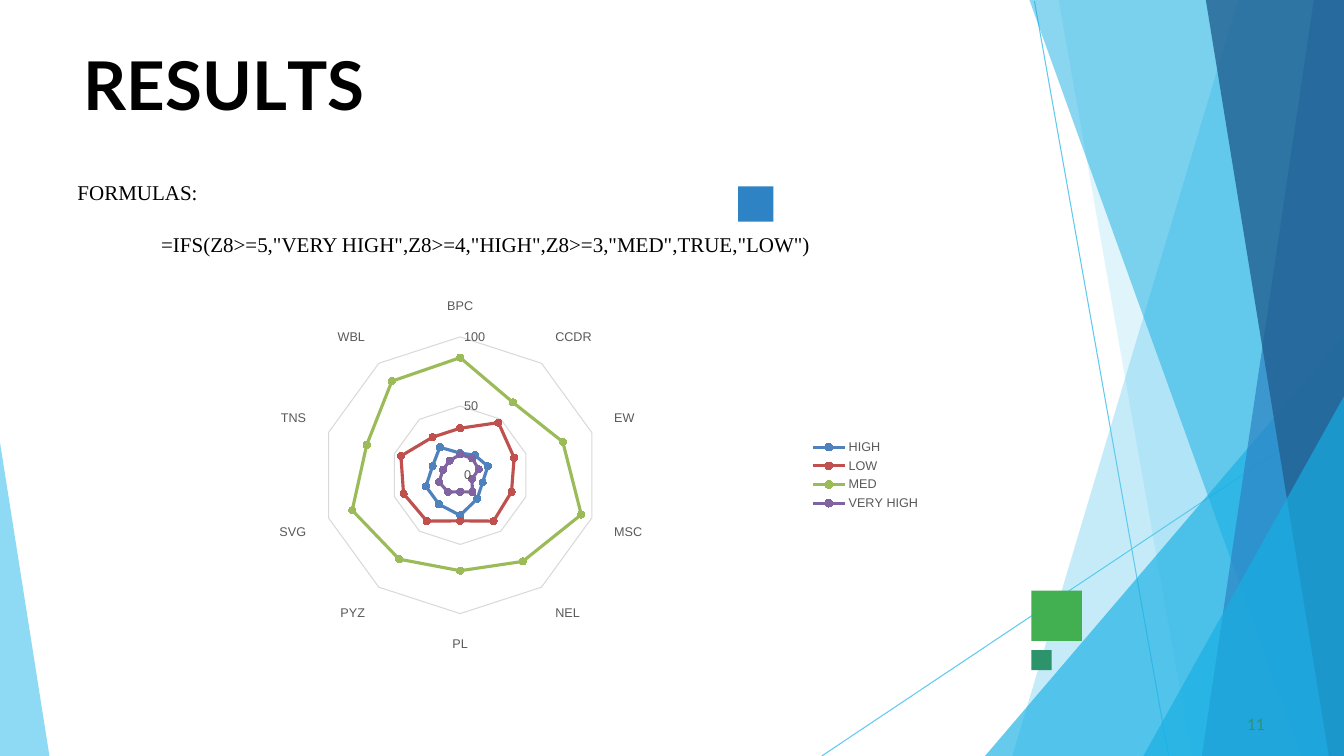
"""Build the RESULTS slide: facet decoration, formula and radar chart."""
import lxml.etree
import pptx
import pptx.chart.data
import pptx.dml.color
import pptx.enum.chart
import pptx.enum.shapes
import pptx.enum.text
import pptx.oxml.ns
import pptx.util
from pptx.util import Inches

W, H = 13.33, 7.5
COLORS = {
    "black": "000000", "sky": "5FCAEE", "cyan": "17AFE3", "blue": "2D83C3",
    "navy": "226192", "green": "42AF51", "teal": "2D936B",
    "label": "595959", "grid": "D9D9D9",
    "HIGH": "4F81BD", "LOW": "C0504D", "MED": "9BBB59", "VERY HIGH": "8064A2",
}
LINES = [(10.26, 0.01, 11.59, H), (W, 4.04, 8.15, H)]
FACETS = [
    ("sky", 36, [(W, 0), (12.28, 0), (10.04, H), (W, H)]),
    ("sky", 20, [(W, 0), (10.5, 0), (11.82, H), (W, H)]),
    ("cyan", 66, [(W, 3.33), (9.77, H), (W, H)]),
    ("cyan", 50, [(W, 0), (10.21, 0), (12.91, H), (W, H)]),
    ("blue", 70, [(W, 0), (13.03, 0), (11.92, H), (W, H)]),
    ("navy", 80, [(W, 0), (11.96, 0), (13.18, H), (W, H)]),
    ("cyan", 66, [(W, 3.93), (11.34, H), (W, H)]),
    ("sky", 70, [(0, 4.39), (0, H), (0.49, H)]),
]
SQUARES = [("green", 10.23, 5.86, 0.5), ("blue", 7.32, 1.85, 0.35), ("teal", 10.23, 6.45, 0.2)]
TITLE = [("R", 0), ("E", -0.4), ("S", 0.1), ("U", -0.3), ("L", -4), ("TS", 0)]
FORMULAS = [
    ("FORMULAS:", 0, 0),
    ('=IFS(Z8>=5,"VERY HIGH",Z8>=4,"HIGH",Z8>=3,"MED",TRUE,"LOW")', 0.83, 19.5),
]
PAGE = "11"
CATEGORIES = ["BPC", "CCDR", "EW", "MSC", "NEL", "PL", "PYZ", "SVG", "TNS", "WBL"]
SERIES = {
    "HIGH": [16, 18, 21, 17, 21, 29, 26, 26, 21, 25],
    "LOW": [34, 47, 41, 39, 41, 33, 41, 43, 45, 34],
    "MED": [85, 65, 78, 92, 77, 69, 75, 82, 71, 84],
    "VERY HIGH": [15, 15, 14, 9, 15, 12, 15, 16, 13, 13],
}


def rgb(name):
    return pptx.dml.color.RGBColor.from_string(COLORS[name])


def sub(parent, tag, **attrs):
    lxml.etree.SubElement(parent, pptx.oxml.ns.qn(tag), **attrs)


def paint(sp, color, alpha=100):
    sp.shadow.inherit = False
    sp.fill.solid()
    sp.fill.fore_color.rgb = rgb(color)
    sp.line.fill.background()
    if alpha < 100:
        clr = sp._element.spPr.find(".//" + pptx.oxml.ns.qn("a:srgbClr"))
        sub(clr, "a:alpha", val=str(alpha * 1000))


def stroke(line, color, width):
    line.color.rgb = rgb(color)
    line.width = pptx.util.Pt(width)


def style(font, name, size, color, bold=False):
    font.name, font.size, font.bold = name, pptx.util.Pt(size), bold
    font.color.rgb = rgb(color)


def frame(sp, left, top, right, bottom):
    tf = sp.text_frame
    tf.word_wrap = True
    tf.auto_size = pptx.enum.text.MSO_AUTO_SIZE.NONE
    tf.vertical_anchor = pptx.enum.text.MSO_ANCHOR.TOP
    tf.margin_left, tf.margin_top = Inches(left), Inches(top)
    tf.margin_right, tf.margin_bottom = Inches(right), Inches(bottom)
    return tf


def add_decoration(s):
    for x1, y1, x2, y2 in LINES:
        cn = s.shapes.add_connector(
            pptx.enum.shapes.MSO_CONNECTOR.STRAIGHT, Inches(x1), Inches(y1), Inches(x2), Inches(y2))
        stroke(cn.line, "sky", 0.75)
        sub(cn._element.spPr, "a:effectLst")
    for color, alpha, points in FACETS:
        points = [(Inches(x), Inches(y)) for x, y in points]
        fb = s.shapes.build_freeform(*points[0])
        fb.add_line_segments(points[1:], close=True)
        paint(fb.convert_to_shape(), color, alpha)
    for color, x, y, size in SQUARES:
        sp = s.shapes.add_shape(
            pptx.enum.shapes.MSO_SHAPE.RECTANGLE, Inches(x), Inches(y), Inches(size), Inches(size))
        paint(sp, color)


def add_text(s):
    title = s.shapes.title
    title.left, title.top = Inches(0.83), Inches(0.42)
    title.width, title.height = Inches(11.68), Inches(0.81)
    p = frame(title, 0, 0.01, 0, 0).paragraphs[0]
    p.alignment = pptx.enum.text.PP_ALIGN.LEFT
    p.space_before = pptx.util.Pt(1)
    style(p.font, "Lato", 48, "black", True)
    for text, spacing in TITLE:
        r = p.add_run()
        r.text = text
        r.font._element.set("spc", str(round(spacing * 100)))

    box = s.shapes.add_textbox(Inches(0.67), Inches(1.73), Inches(12), Inches(0.86))
    tf = frame(box, 0.1, 0.05, 0.1, 0.05)
    for i, (text, indent, gap) in enumerate(FORMULAS):
        p = tf.add_paragraph() if i else tf.paragraphs[0]
        p.text = text
        p.space_before = pptx.util.Pt(gap)
        p._p.get_or_add_pPr().set("marL", str(Inches(indent)))
        style(p.font, "Times New Roman", 15, "black")

    box = s.shapes.add_textbox(Inches(12.33), Inches(7.08), Inches(0.25), Inches(0.18))
    p = frame(box, 0.04, 0.01, 0, 0).paragraphs[0]
    p.text = PAGE
    p.space_before = pptx.util.Pt(0.6)
    style(p.font, "Lato", 11, "teal")


def add_radar(s):
    data = pptx.chart.data.CategoryChartData()
    data.categories = CATEGORIES
    for name, values in SERIES.items():
        data.add_series(name, values)
    chart = s.shapes.add_chart(
        pptx.enum.chart.XL_CHART_TYPE.RADAR_MARKERS,
        Inches(1.12), Inches(2.89), Inches(8.11), Inches(3.65), data).chart
    chart.has_title = False
    style(chart.font, "Arial", 9, "label")
    chart.has_legend = True
    chart.legend.position = pptx.enum.chart.XL_LEGEND_POSITION.RIGHT
    chart.legend.include_in_layout = False
    chart.plots[0].vary_by_categories = False
    for axis in (chart.category_axis, chart.value_axis):
        axis.major_tick_mark = axis.minor_tick_mark = pptx.enum.chart.XL_TICK_MARK.NONE
        axis.has_major_gridlines = True
        stroke(axis.major_gridlines.format.line, "grid", 0.75)
    stroke(chart.category_axis.format.line, "grid", 0.75)
    axis = chart.value_axis
    axis.minimum_scale, axis.maximum_scale, axis.major_unit = 0, 100, 50
    axis.format.line.fill.background()
    for ser in chart.plots[0].series:
        stroke(ser.format.line, ser.name, 2.25)
        ser.marker.style = pptx.enum.chart.XL_MARKER_STYLE.CIRCLE
        ser.marker.size = 5
        ser.marker.format.fill.solid()
        ser.marker.format.fill.fore_color.rgb = rgb(ser.name)
        stroke(ser.marker.format.line, ser.name, 0.75)


def main():
    prs = pptx.Presentation()
    prs.slide_width, prs.slide_height = Inches(W), Inches(H)
    s = prs.slides.add_slide(prs.slide_layouts[5])
    add_decoration(s)
    add_text(s)
    add_radar(s)
    prs.save("out.pptx")


if __name__ == "__main__":
    main()
